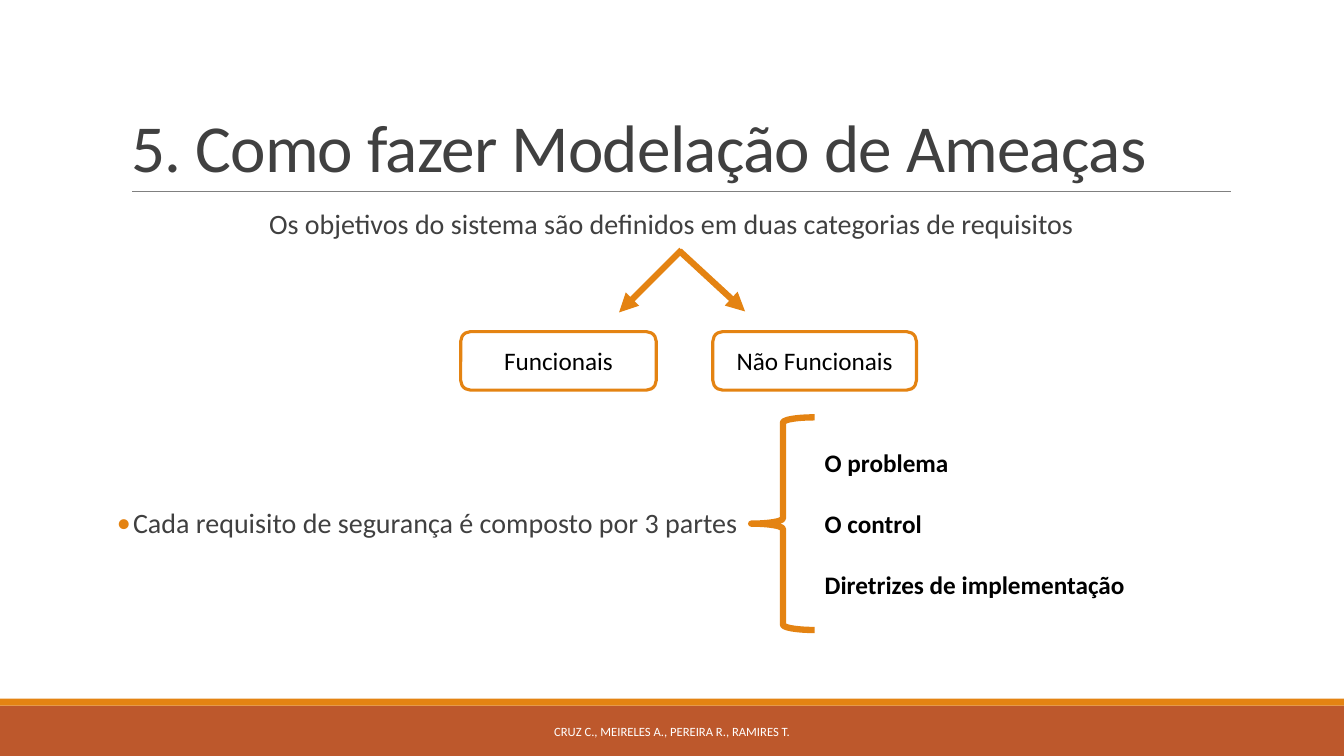
from pptx import Presentation
from pptx.dml.color import RGBColor
from pptx.enum.shapes import MSO_CONNECTOR as Connector, MSO_SHAPE as Shape
from pptx.enum.text import MSO_ANCHOR as Anchor, MSO_AUTO_SIZE as AutoSize, PP_ALIGN as Align
from pptx.oxml.ns import qn
from pptx.util import Inches, Pt
from lxml.etree import SubElement

WIDTH, HEIGHT = Inches(13.33), Inches(7.5)
FONT = "Calibri"
COLORS = {
    "orange": "E48312",
    "rust": "BD582C",
    "gray": "808080",
    "text": "404040",
    "black": "000000",
    "white": "FFFFFF",
}


def color(name):
    return RGBColor.from_string(COLORS[name])


def across(share):
    """Turn a percentage of the slide's width into a length."""
    return int(WIDTH * share / 100)


def down(share):
    """Turn a percentage of the slide's height into a length."""
    return int(HEIGHT * share / 100)


def area(left, top, width, height):
    return across(left), down(top), across(width), down(height)


def place(shape, *shares):
    shape.left, shape.top, shape.width, shape.height = area(*shares)


def write(paragraph, text, size=18, ink="black", bold=False, align=Align.LEFT,
          line=1.0, before=0, after=0):
    run = paragraph.add_run()
    run.text = text
    run.font.name, run.font.size, run.font.bold = FONT, Pt(size), bold
    run.font.color.rgb = color(ink)
    paragraph.alignment = align
    paragraph.line_spacing = line
    paragraph.space_before, paragraph.space_after = Pt(before), Pt(after)
    return run


def set_bullet(paragraph, character=None, indent=0):
    """Give the paragraph an orange bullet, or none without a character."""
    properties = paragraph._p.get_or_add_pPr()
    properties.set("marL", str(Inches(indent)))
    properties.set("indent", str(-Inches(indent)))
    if character is None:
        SubElement(properties, qn("a:buNone"))
        return
    bullet_color = SubElement(properties, qn("a:buClr"))
    SubElement(bullet_color, qn("a:srgbClr")).set("val", COLORS["orange"])
    SubElement(properties, qn("a:buFont")).set("typeface", FONT)
    SubElement(properties, qn("a:buChar")).set("char", character)


def add_figure(slide, kind, shares, fill=None, line=None, weight=1):
    shape = slide.shapes.add_shape(kind, *area(*shares))
    shape.shadow.inherit = False
    if fill:
        shape.fill.solid()
        shape.fill.fore_color.rgb = color(fill)
    else:
        shape.fill.background()
    if line:
        shape.line.color.rgb = color(line)
        shape.line.width = Pt(weight)
    else:
        shape.line.fill.background()
    return shape


def add_category(slide, text, shares):
    box = add_figure(slide, Shape.ROUNDED_RECTANGLE, shares, "white", "orange", 2.25)
    box.text_frame.vertical_anchor = Anchor.MIDDLE
    write(box.text_frame.paragraphs[0], text, align=Align.CENTER)


def add_line(slide, start, end, ink, weight, arrow=False):
    connector = slide.shapes.add_connector(
        Connector.STRAIGHT, across(start[0]), down(start[1]), across(end[0]), down(end[1]))
    connector.line.color.rgb = color(ink)
    connector.line.width = Pt(weight)
    if arrow:
        SubElement(connector.line._get_or_add_ln(), qn("a:tailEnd")).set("type", "triangle")
    SubElement(connector._element.spPr, qn("a:effectLst"))


def add_text(slide, lines, shares, anchor=Anchor.TOP, gap=0, **style):
    frame = slide.shapes.add_textbox(*area(*shares)).text_frame
    frame.word_wrap = True
    frame.vertical_anchor = anchor
    for index, text in enumerate(lines):
        paragraph = frame.add_paragraph() if index else frame.paragraphs[0]
        write(paragraph, text, before=gap if index else 0, **style)


def fill_title(title, text):
    place(title, 9, 4.13, 82.5, 21.2)
    frame = title.text_frame
    frame.auto_size = AutoSize.NONE
    frame.vertical_anchor = Anchor.BOTTOM
    run = write(frame.paragraphs[0], text, size=48, ink="text", line=0.85)
    run.font._element.set("spc", "-50")


def fill_body(body, statement, point):
    place(body, 8.7, 27.2, 82.5, 58.67)
    frame = body.text_frame
    frame.auto_size = AutoSize.NONE
    frame.vertical_anchor = Anchor.TOP
    frame.margin_left = frame.margin_right = 0
    style = dict(size=20, ink="text", line=0.9, after=2)
    first = frame.paragraphs[0]
    write(first, statement, align=Align.CENTER, **style)
    set_bullet(first)
    second = frame.add_paragraph()
    write(second, point, before=190, **style)
    set_bullet(second, "•", 0.16)


def main():
    presentation = Presentation()
    presentation.slide_width, presentation.slide_height = WIDTH, HEIGHT
    slide = presentation.slides.add_slide(presentation.slide_layouts[1])

    add_figure(slide, Shape.RECTANGLE, (0, 93.33, 100, 6.67), "rust")
    add_figure(slide, Shape.RECTANGLE, (0, 92.4, 100, 0.93), "orange")
    add_line(slide, (9.83, 25.33), (91.6, 25.33), "gray", 0.5)

    fill_title(slide.shapes.title, "5. Como fazer Modelação de Ameaças")
    fill_body(slide.placeholders[1],
              "Os objetivos do sistema são definidos em duas categorias de requisitos",
              "Cada requisito de segurança é composto por 3 partes")
    add_text(slide, ["CRUZ C., MEIRELES A., PEREIRA R., RAMIRES T."],
             (30.23, 94.13, 39.53, 5.33), Anchor.MIDDLE,
             size=9, ink="white", align=Align.CENTER)

    add_line(slide, (50.56, 33.2), (55.44, 41.2), "orange", 4.5, arrow=True)
    add_line(slide, (50.71, 33.07), (46.06, 41.33), "orange", 4.5, arrow=True)
    add_category(slide, "Funcionais", (34.28, 43.87, 14.55, 7.73))
    add_category(slide, "Não Funcionais", (53.04, 43.87, 15.15, 7.73))

    add_figure(slide, Shape.LEFT_BRACE, (55.89, 55.2, 4.73, 28.13),
               line="orange", weight=4.5)
    add_text(slide, ["O problema", "O control", "Diretrizes de implementação"],
             (60.62, 58.53, 25.58, 21.6), gap=22, bold=True)

    presentation.save("out.pptx")


if __name__ == "__main__":
    main()
